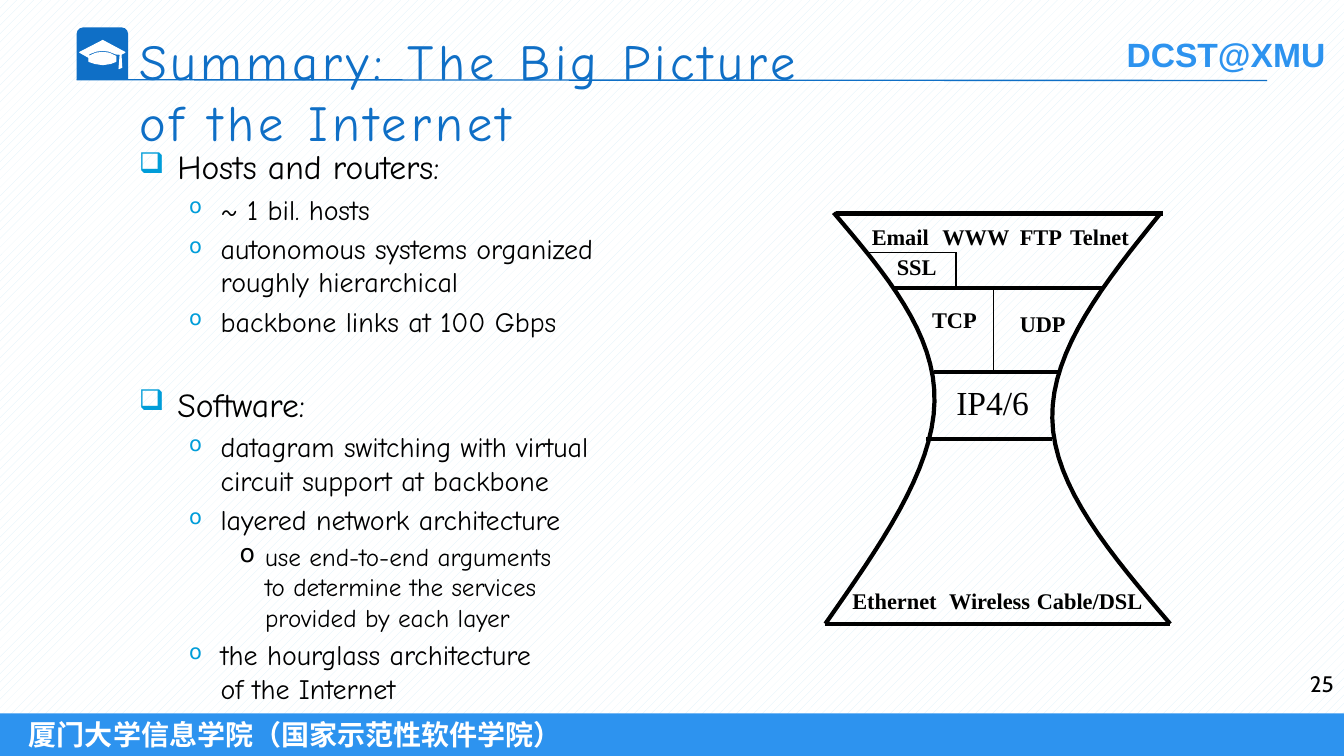
from lxml import etree
from pptx import Presentation
from pptx.dml.color import RGBColor
from pptx.enum.dml import MSO_PATTERN
from pptx.enum.shapes import MSO_CONNECTOR, MSO_SHAPE
from pptx.enum.text import MSO_ANCHOR, MSO_AUTO_SIZE, PP_ALIGN
from pptx.oxml.ns import qn
from pptx.util import Cm, Pt

DOTS = MSO_PATTERN.PERCENT_20
STRAIGHT = MSO_CONNECTOR.STRAIGHT
RECT = MSO_SHAPE.RECTANGLE
TAB = MSO_SHAPE.ROUND_2_SAME_RECTANGLE
TOP, MIDDLE = MSO_ANCHOR.TOP, MSO_ANCHOR.MIDDLE
FIXED = MSO_AUTO_SIZE.NONE
LEFT, RIGHT = PP_ALIGN.LEFT, PP_ALIGN.RIGHT

COLORS = {"blue": "0F6FC6", "sky": "2D93EF", "cyan": "009DD9", "pale": "DBEFF9",
          "white": "FFFFFF", "black": "000000"}
COMIC, TIMES = "Comic Neue", "Times New Roman"
LEVELS = [
    {"size": 24, "left": 0.97, "hang": 0.97, "sign": "❑", "hue": "cyan", "scale": 85},
    {"size": 20, "left": 2.06, "hang": 0.79, "sign": "o", "hue": "cyan", "scale": 75},
    {"size": 18, "left": 3.18, "hang": 0.64, "sign": "o", "hue": "black", "scale": 100},
]


def tint(name):
    return RGBColor.from_string(COLORS[name])


def apply(item, form):
    for name, value in form.items():
        setattr(item, name, value)


def curve(points, steps=16):
    track = [points[0]]
    for start in range(0, len(points) - 1, 3):
        a, b, c, d = points[start:start + 4]
        for step in range(1, steps + 1):
            t = step / steps
            u = 1 - t
            track.append(tuple(u**3 * p + 3 * u * u * t * q + 3 * u * t * t * r + t**3 * s
                               for p, q, r, s in zip(a, b, c, d)))
    return track


class Page:
    def __init__(self, deck):
        self.slide = deck.slides.add_slide(deck.slide_layouts[5])
        self.shapes = self.slide.shapes
        fill = self.slide.background.fill
        fill.patterned()
        fill.pattern = DOTS
        fill.fore_color.rgb = tint("pale")
        fill.back_color.rgb = tint("white")

    def label(self, para, text, hue="black", **form):
        para.text = text
        for run in para.runs:
            apply(run.font, form)
            run.font.color.rgb = tint(hue)

    def title(self, text, place):
        box = self.shapes.title
        apply(box, dict(zip(("left", "top", "width", "height"), map(Cm, place))))
        apply(box.text_frame, {"word_wrap": True, "auto_size": FIXED, "vertical_anchor": TOP})
        para = box.text_frame.paragraphs[0]
        para.alignment = LEFT
        self.label(para, text, "blue", size=Pt(36), name=COMIC)
        for run in para.runs:
            run.font._element.set("spc", "300")
        self.shapes._spTree.append(box._element)

    def text(self, text, place, wrap=False, align=LEFT, **form):
        box = self.shapes.add_textbox(*map(Cm, place))
        box.text_frame.word_wrap = wrap
        para = box.text_frame.paragraphs[0]
        para.alignment = align
        self.label(para, text, **form)
        return para

    def block(self, kind, place, hue):
        shape = self.shapes.add_shape(kind, *map(Cm, place))
        shape.shadow.inherit = False
        shape.fill.solid()
        shape.fill.fore_color.rgb = tint(hue)
        shape.line.fill.background()
        return shape

    def line(self, start, end, width, hue="black"):
        link = self.shapes.add_connector(STRAIGHT, *map(Cm, start + end))
        link.line.width = Pt(width)
        link.line.color.rgb = tint(hue)
        etree.SubElement(link._element.spPr, qn("a:effectLst"))

    def outline(self, points, width, hue, closed=False):
        track = [(Cm(x), Cm(y)) for x, y in points]
        pen = self.shapes.build_freeform(*track[0])
        pen.add_line_segments(track[1:], close=closed)
        shape = pen.convert_to_shape()
        shape.shadow.inherit = False
        if closed:
            shape.fill.solid()
            shape.fill.fore_color.rgb = tint(hue)
        else:
            shape.fill.background()
        shape.line.width = Pt(width)
        shape.line.color.rgb = tint(hue)

    def bullets(self, items, place):
        frame = self.shapes.add_textbox(*map(Cm, place)).text_frame
        frame.word_wrap = True
        for index, (level, text) in enumerate(items):
            style = LEVELS[level]
            para = frame.add_paragraph() if index else frame.paragraphs[0]
            para.level = level
            props = para._p.get_or_add_pPr()
            props.set("marL", str(Cm(style["left"])))
            props.set("indent", str(-Cm(style["hang"])))
            color = etree.SubElement(props, qn("a:buClr"))
            etree.SubElement(color, qn("a:srgbClr"), val=COLORS[style["hue"]])
            etree.SubElement(props, qn("a:buSzPct"), val=str(style["scale"] * 1000))
            etree.SubElement(props, qn("a:buChar"), char=style["sign"])
            if index:
                para.space_before = Pt(style["size"] / 5 if level else 33)
            self.label(para, text, size=Pt(style["size"]), name=COMIC)


def main():
    deck = Presentation()
    deck.slide_width, deck.slide_height = Cm(33.87), Cm(19.05)
    page = Page(deck)

    bar = page.block(RECT, (0, 17.98, 33.87, 1.07), "sky").text_frame
    apply(bar, {"vertical_anchor": MIDDLE, "margin_left": Cm(0.73)})
    bar.paragraphs[0].alignment = LEFT
    page.label(bar.paragraphs[0], "厦门大学信息学院（国家示范性软件学院）", "white",
               size=Pt(20), name="Arial", bold=True)

    mark = page.text("DCST@XMU", (28.14, 0.74, 5.59, 1.27),
                     size=Pt(24), name="Arial", bold=True)
    fill = mark.runs[0].font.fill
    fill.gradient()
    fill.gradient_angle = 270
    for stop, hue in zip(fill.gradient_stops, ("sky", "blue")):
        stop.color.rgb = tint(hue)

    badge = page.block(TAB, (1.93, 0.69, 1.3, 1.32), "blue")
    badge.adjustments[0] = 0.13
    cap = [
        [(2.01, 1.32), (2.59, 1.02), (3.15, 1.32), (3.05, 1.37), (2.92, 1.36),
         (2.75, 1.29), (2.59, 1.27), (2.42, 1.29), (2.24, 1.36), (2.24, 1.45)],
        [(2.24, 1.42), (2.42, 1.34), (2.59, 1.32), (2.75, 1.34), (2.92, 1.42),
         (2.92, 1.55), (2.79, 1.6), (2.59, 1.63), (2.39, 1.6), (2.24, 1.55)],
        [(3.03, 1.37), (3.05, 1.37), (3.07, 1.7), (3, 1.73)],
    ]
    for part in cap:
        page.outline(part, 0.75, "white", closed=True)
    page.line((1.93, 2.01), (31.93, 2.03), 1, "blue")

    page.title("Summary: The Big Picture\vof the Internet", (3.25, 0.64, 25.3, 2.92))
    page.text("25", (31.9, 16.76, 1.96, 1.27), True, RIGHT, size=Pt(16), name="Cabin")
    page.bullets([
        (0, "Hosts and routers:"),
        (1, "~ 1 bil. hosts"),
        (1, "autonomous systems organized\vroughly hierarchical"),
        (1, "backbone links at 100 Gbps"),
        (0, "Software:"),
        (1, "datagram switching with virtual\vcircuit support at backbone"),
        (1, "layered network architecture"),
        (2, "use end-to-end arguments\vto determine the services\vprovided by each layer"),
        (1, "the hourglass architecture\vof the Internet"),
    ], (3.25, 3.56, 17, 14.07))

    sides = [
        [(21.01, 5.36), (22.3, 6.88), (23.6, 8.41), (23.55, 10.13),
         (23.52, 11.86), (22.15, 13.79), (20.8, 15.72)],
        [(29.26, 5.36), (27.86, 7.09), (26.49, 8.81), (26.52, 10.54),
         (26.54, 12.27), (28.02, 14), (29.49, 15.72)],
    ]
    for side in sides:
        page.outline(curve(side), 3, "black")
    floors = [(21.06, 29.31, 5.38), (22.5, 27.79, 7.26), (23.55, 26.72, 9.37),
              (23.34, 26.52, 11.07), (20.8, 29.49, 15.72)]
    for left, right, y in floors:
        page.line((left, y), (right, y), 3)
    splits = [((25.04, 7.26), (25.04, 9.37)), ((21.79, 6.36), (24.09, 6.36)),
              ((24.09, 6.36), (24.09, 7.24))]
    for start, end in splits:
        page.line(start, end, 1)

    page.text("IP4/6", (23.85, 9.5, 2.36, 1.3), size=Pt(24), name=TIMES)
    labels = [
        ("Email", 21.72, 5.49, 1.96), ("WWW", 23.5, 5.51, 2.21),
        ("FTP", 25.45, 5.51, 1.57), ("Telnet", 26.72, 5.51, 2.06),
        ("SSL", 22.35, 6.25, 1.52), ("TCP", 23.24, 7.59, 1.63),
        ("UDP", 25.45, 7.7, 1.68), ("Ethernet", 21.23, 14.68, 2.64),
        ("Wireless", 23.67, 14.68, 2.59), ("Cable/DSL", 25.88, 14.68, 3.2),
    ]
    for text, x, y, width in labels:
        page.text(text, (x, y, width, 0.94), size=Pt(16), name=TIMES, bold=True)

    deck.save("out.pptx")


if __name__ == "__main__":
    main()
